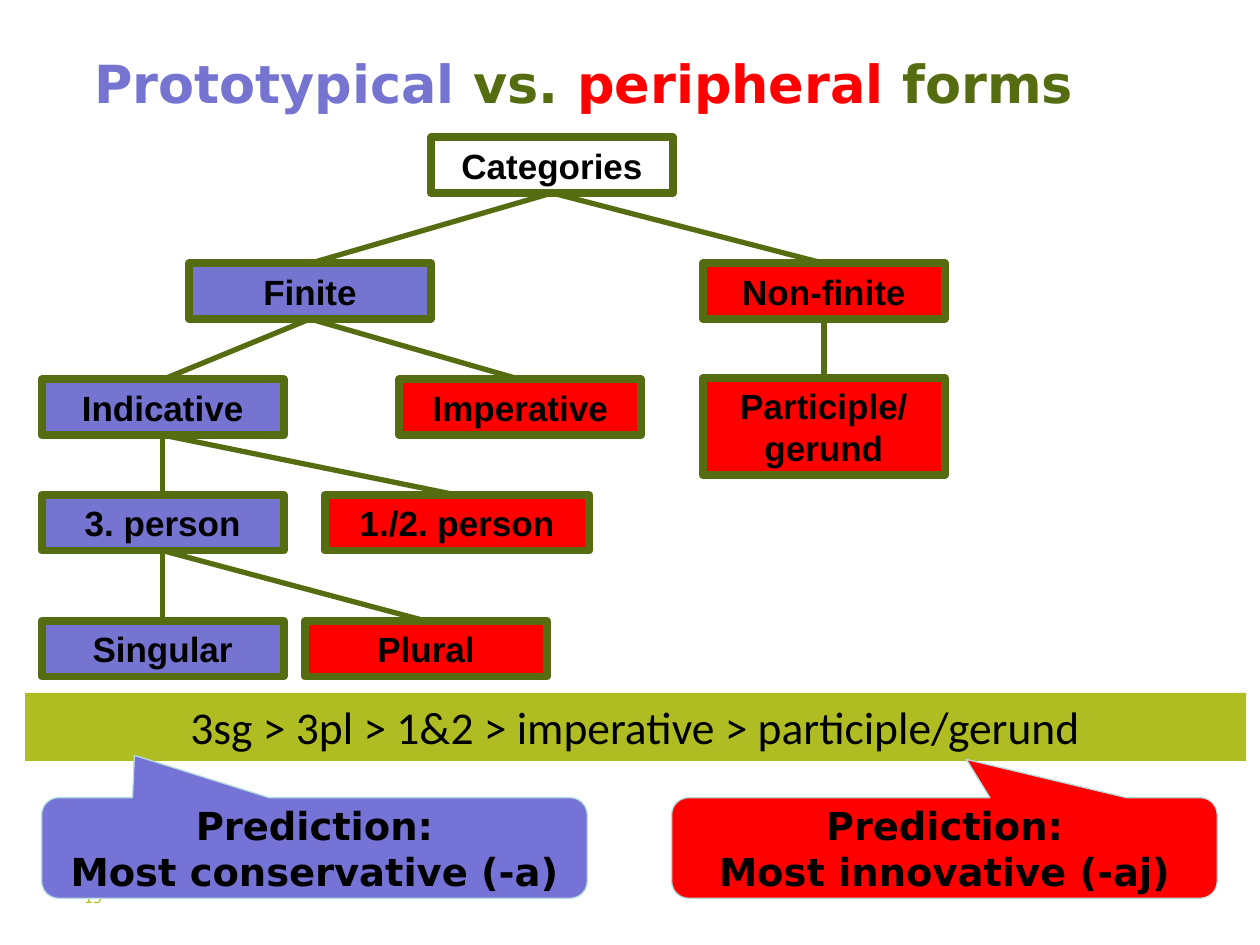
from pptx import Presentation
from pptx.dml.color import RGBColor
from pptx.enum.shapes import MSO_CONNECTOR, MSO_SHAPE
from pptx.enum.text import MSO_ANCHOR as ANCHOR, PP_ALIGN as ALIGN
from pptx.oxml.ns import qn
from pptx.util import Cm, Pt
from lxml.etree import SubElement

GREEN, LIME, BLUE, RED, BLACK = "566C11", "AFBD22", "7575D1", "FF0000", "000000"


def paint(color_format, color):
    """Set a fill, line or font colour from a hex string."""
    color_format.rgb = RGBColor.from_string(color)


def put_text(s, lines, font, size, bold=True, align=ALIGN.CENTER, anchor=ANCHOR.MIDDLE):
    """Write lines, each a list of (text, colour) runs."""
    tf = s.text_frame
    tf.word_wrap = True
    tf.vertical_anchor = anchor
    for i, runs in enumerate(lines):
        p = tf.add_paragraph() if i else tf.paragraphs[0]
        p.alignment = align
        for text, color in runs:
            r = p.add_run()
            r.text = text
            r.font.name, r.font.size, r.font.bold = font, Pt(size), bold
            paint(r.font.color, color)


prs = Presentation()
prs.slide_width, prs.slide_height = Cm(25.4), Cm(19.05)
slide = prs.slides.add_slide(prs.slide_layouts[6])
shapes = slide.shapes

# Title
s = shapes.add_textbox(Cm(1.65), Cm(0.91), Cm(20.65), Cm(3.18))
title = [("Prototypical", BLUE), (" vs. ", GREEN), ("peripheral", RED), (" forms", GREEN)]
put_text(s, [title], "DejaVu Sans", 30, align=ALIGN.LEFT, anchor=ANCHOR.TOP)

# Slide number
s = shapes.add_textbox(Cm(1.7), Cm(17.93), Cm(2.59), Cm(0.74))
tf = s.text_frame
tf.margin_left = tf.margin_top = tf.margin_bottom = 0
put_text(s, [[("15", LIME)]], "DejaVu Sans", 8, bold=False, align=ALIGN.LEFT, anchor=ANCHOR.TOP)

# Category boxes: name, parent, left, top, width, height, fill
W, H = 4.88, 1.12
tree = [
    ("Categories", None, 8.69, 2.77, W, H, None),
    ("Finite", "Categories", 3.81, 5.31, W, H, BLUE),
    ("Non-finite", "Categories", 14.17, 5.31, W, H, RED),
    ("Participle/gerund", "Non-finite", 14.17, 7.62, W, 1.96, RED),
    ("Indicative", "Finite", 0.84, 7.65, W, H, BLUE),
    ("Imperative", "Finite", 8.05, 7.65, W, H, RED),
    ("3. person", "Indicative", 0.84, 9.98, W, H, BLUE),
    ("1./2. person", "Indicative", 6.55, 9.98, 5.33, H, RED),
    ("Singular", "3. person", 0.84, 12.52, W, H, BLUE),
    ("Plural", "3. person", 6.15, 12.52, W, H, RED),
]
boxes = {}
for name, parent, x, y, w, h, fill in tree:
    s = shapes.add_shape(MSO_SHAPE.RECTANGLE, Cm(x), Cm(y), Cm(w), Cm(h))
    s.shadow.inherit = False
    if fill:
        s.fill.solid()
        paint(s.fill.fore_color, fill)
    else:
        s.fill.background()
    paint(s.line.color, GREEN)
    s.line.width = Pt(4.5)
    put_text(s, [[(name, BLACK)]], "Arial", 20)
    boxes[name] = s

# Branches, from the bottom of each parent to the top of its child
for name, parent, *_ in tree:
    if parent:
        c = shapes.add_connector(MSO_CONNECTOR.STRAIGHT, 0, 0, 0, 0)
        c.begin_connect(boxes[parent], 2)
        c.end_connect(boxes[name], 0)
        paint(c.line.color, GREEN)
        c.line.width = Pt(3)
        SubElement(c._element.spPr, qn("a:effectLst"))

# Hierarchy band
s = shapes.add_shape(MSO_SHAPE.RECTANGLE, Cm(0.51), Cm(13.97), Cm(24.61), Cm(1.37))
s.shadow.inherit = False
s.fill.solid()
paint(s.fill.fore_color, LIME)
s.line.fill.background()
ranking = "3sg > 3pl > 1&2 > imperative > participle/gerund"
put_text(s, [[(ranking, BLACK)]], "Calibri", 26, bold=False, anchor=ANCHOR.TOP)

# Prediction callouts: left, pointer offset, fill, claim
for x, tip_x, tip_y, fill, claim in [
    (0.84, -0.33, -0.92, "7573D5", "Most conservative (-a)"),
    (13.54, 0.04, -0.88, RED, "Most innovative (-aj)"),
]:
    s = shapes.add_shape(MSO_SHAPE.ROUNDED_RECTANGULAR_CALLOUT, Cm(x), Cm(16.08), Cm(11), Cm(2.03))
    s.adjustments[0], s.adjustments[1], s.adjustments[2] = tip_x, tip_y, 0.17
    s.shadow.inherit = False
    s.fill.solid()
    paint(s.fill.fore_color, fill)
    paint(s.line.color, "B6DCDF")
    s.line.width = Pt(0.75)
    put_text(s, [[("Prediction:", BLACK)], [(claim, BLACK)]], "DejaVu Sans", 22)

prs.save("out.pptx")
